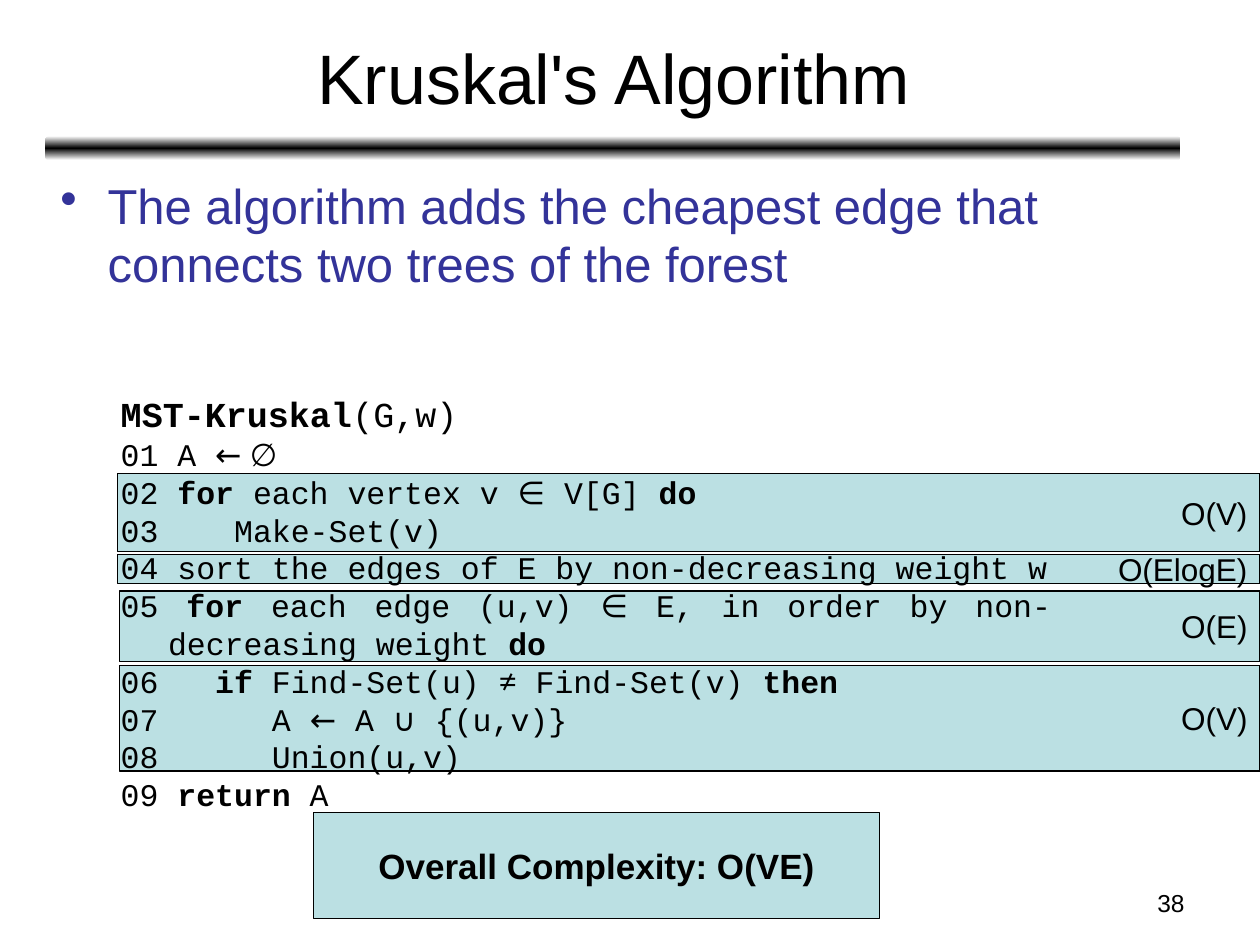
import copy

import pptx
import pptx.dml.color
import pptx.enum.shapes
import pptx.enum.text
import pptx.oxml
import pptx.util

Pt = pptx.util.Pt
RGB = pptx.dml.color.RGBColor
ALIGN = pptx.enum.text.PP_ALIGN
ANCHOR = pptx.enum.text.MSO_ANCHOR
SHAPE = pptx.enum.shapes.MSO_SHAPE

BLACK = RGB(0, 0, 0)
WHITE = RGB(255, 255, 255)
INDIGO = RGB(0x33, 0x33, 0x99)
PALE_TEAL = RGB(0xBB, 0xE0, 0xE3)

# Content
TITLE = "Kruskal's Algorithm"
POINT = "The algorithm adds the cheapest edge that connects two trees of the forest"
PAGE_NUMBER = "38"
CODE, BOLD, SYMBOL = "code", "bold", "symbol"
PSEUDOCODE = [
    [("MST-Kruskal", BOLD), ("(G,w)", CODE)],
    [("01\u00a0A ", CODE), ("← ∅", SYMBOL)],
    [("02 ", CODE), ("for", BOLD), (" each vertex v ", CODE), ("∈", SYMBOL),
     (" V[G] ", CODE), ("do", BOLD)],
    [("03    Make-Set(v)", CODE)],
    [("04 sort the edges of E by non-decreasing weight w", CODE)],
    [("05 ", CODE), ("for", BOLD), (" each edge (u,v) ", CODE), ("∈", SYMBOL),
     (" E, in order by non-decreasing weight ", CODE), ("do", BOLD)],
    [("06   ", CODE), ("if", BOLD), (" Find-Set(u) ", CODE), ("≠", SYMBOL),
     (" Find-Set(v) ", CODE), ("then", BOLD)],
    [("07      A ", CODE), ("←", SYMBOL), (" A ", CODE), ("∪", SYMBOL),
     (" {(u,v)}", CODE)],
    [("08      Union(u,v)", CODE)],
    [("09 ", CODE), ("return", BOLD), (" A", CODE)],
]
# Cost bands behind the code: label, left, top, height
BANDS = [
    ("O(V)", 68.4, 380.2, 60.5),
    ("O(E)", 68.4, 337.7, 40.3),
    ("O(ElogE)", 67, 316.8, 16.6),
    ("O(V)", 67, 270.7, 44.6),
]
OVERALL = "Overall Complexity: O(VE)"

# Formats
SLIDE_WIDTH, SLIDE_HEIGHT = 720, 540
HANGING = 27
LINE_FACTOR = 1.2
RUN_FORMATS = {
    CODE: {"name": "Courier New", "bold": False},
    BOLD: {"name": "Courier New", "bold": True},
    SYMBOL: {"name": "Open Sans", "bold": False},
}


def set_format(target, values):
    for name, value in values.items():
        setattr(target, name, value)


def set_font(font, size, color=BLACK, **values):
    set_format(font, {"name": "Arial", "size": Pt(size), **values})
    font.color.rgb = color


def hang(para):
    properties = para._p.get_or_add_pPr()
    properties.set("marL", str(Pt(HANGING)))
    properties.set("indent", str(-Pt(HANGING)))
    return properties


def add_text(slide, bounds):
    box = slide.shapes.add_textbox(*map(Pt, bounds))
    box.text_frame.word_wrap = True
    return box.text_frame.paragraphs[0]


def add_panel(slide, text, bounds, align, size, bold=False):
    panel = slide.shapes.add_shape(SHAPE.RECTANGLE, *map(Pt, bounds))
    panel.shadow.inherit = False
    panel.fill.solid()
    panel.fill.fore_color.rgb = PALE_TEAL
    panel.line.color.rgb = BLACK
    panel.line.width = Pt(0.75)
    panel.text_frame.word_wrap = True
    panel.text_frame.vertical_anchor = ANCHOR.MIDDLE
    para = panel.text_frame.paragraphs[0]
    para.text = text
    para.alignment = align
    set_font(para.font, size, bold=bold)


deck = pptx.Presentation()
deck.slide_width, deck.slide_height = Pt(SLIDE_WIDTH), Pt(SLIDE_HEIGHT)
slide = deck.slides.add_slide(deck.slide_layouts[5])

# Rule under the title, fading from black to white above and below
rule = slide.shapes.add_shape(SHAPE.ROUNDED_RECTANGLE, Pt(25.9), Pt(77.8), Pt(648.7), Pt(13.7))
rule.shadow.inherit = False
rule.line.fill.background()
rule.fill.gradient()
rule.fill.gradient_angle = 90
first_stop = rule.fill.gradient_stops[0]._gs
first_stop.addnext(copy.deepcopy(first_stop))
for stop, position, color in zip(rule.fill.gradient_stops, (0, 0.5, 1), (WHITE, BLACK, WHITE)):
    stop.position = position
    stop.color.rgb = color

# Page number
para = add_text(slide, (516.2, 504, 167.8, 25.2))
para.text = PAGE_NUMBER
para.alignment = ALIGN.RIGHT
set_font(para.font, 14)

# Cost bands, each reaching the right edge of the slide
for label, left, top, height in BANDS:
    add_panel(slide, label, (left, top, SLIDE_WIDTH - left, height), ALIGN.RIGHT, 18)

# Title
title = slide.shapes.title
set_format(title, {"left": Pt(26.6), "top": Pt(7.9), "width": Pt(648), "height": Pt(71.3)})
title.text_frame.text = TITLE
title.text_frame.vertical_anchor = ANCHOR.MIDDLE
para = title.text_frame.paragraphs[0]
para.alignment = ALIGN.CENTER
set_font(para.font, 40)

# Bullet point
para = add_text(slide, (27.4, 96.5, 648, 399.6))
para.text = POINT
properties = hang(para)
bullet = pptx.oxml.parse_xml(
    '<a:buChar xmlns:a="http://schemas.openxmlformats.org/drawingml/2006/main" char="•"/>')
properties.append(bullet)
set_font(para.font, 28, INDIGO)

# Pseudocode
para = add_text(slide, (61.9, 221, 545.8, 246.2))
frame = slide.shapes[-1].text_frame
for number, parts in enumerate(PSEUDOCODE):
    if number:
        para = frame.add_paragraph()
    size = 18 if number else 20
    hang(para)
    para.alignment = ALIGN.JUSTIFY
    para.line_spacing = Pt(size * LINE_FACTOR)
    for text, style in parts:
        span = para.add_run()
        span.text = text
        set_font(span.font, size, **RUN_FORMATS[style])

# Overall result
add_panel(slide, OVERALL, (179.3, 464.4, 323.3, 60.5), ALIGN.CENTER, 20, bold=True)

deck.save("out.pptx")
